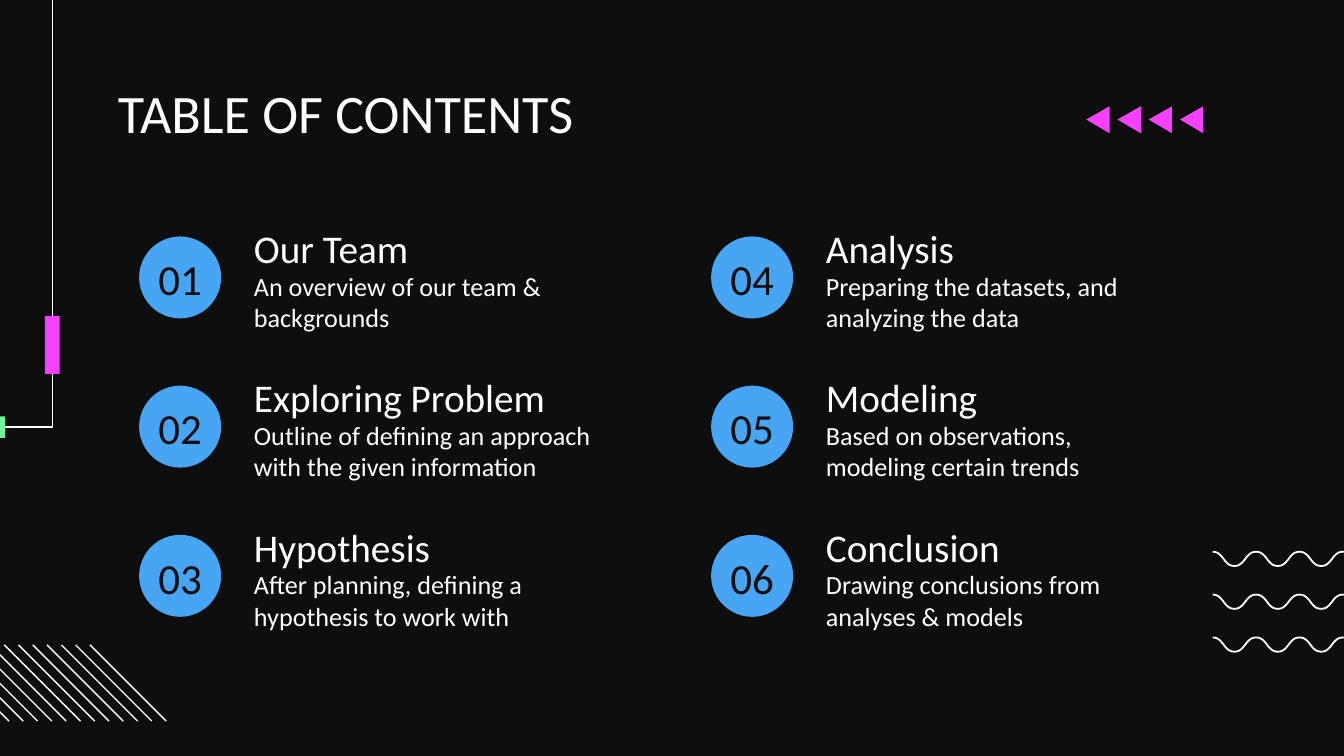
from dataclasses import dataclass

import pptx
import pptx.dml.color
import pptx.enum.shapes
import pptx.enum.text
import pptx.oxml.ns
import pptx.util
from lxml import etree

Cm = pptx.util.Cm
SHAPE = pptx.enum.shapes.MSO_SHAPE
ALIGN = pptx.enum.text.PP_ALIGN
COLORS = {"dark": "0E0E0E", "white": "FFFFFF", "blue": "47A5F3",
          "pink": "F341FF", "green": "72F49A"}


@dataclass
class Style:
    size: float
    color: str = "white"
    align: object = ALIGN.LEFT
    top: float = 0
    line_spacing: float = 1.0
    space_after: float = 0


@dataclass
class Entry:
    heading: str
    body: str
    body_width: float = 6.53


TITLE = Style(29)
NUMBER = Style(23, "dark", ALIGN.CENTER, top=0.51)
HEADING = Style(21, line_spacing=1.15, space_after=12)
BODY = Style(14)

ENTRIES = [
    Entry("Our Team", "An overview of our team & backgrounds"),
    Entry("Exploring Problem",
          "Outline of defining an approach with the given information", 7.65),
    Entry("Hypothesis", "After planning, defining a hypothesis to work with"),
    Entry("Analysis", "Preparing the datasets, and analyzing the data"),
    Entry("Modeling", "Based on observations, modeling certain trends"),
    Entry("Conclusion", "Drawing conclusions from analyses & models"),
]
ROWS, ROW_STEP, COL_STEP = 3, 2.82, 10.81


def rgb(name: str):
    return pptx.dml.color.RGBColor.from_string(COLORS[name])


def write(s, text: str, style: Style) -> None:
    """Put one formatted paragraph into a shape."""
    tf = s.text_frame
    frame = {"word_wrap": True, "auto_size": pptx.enum.text.MSO_AUTO_SIZE.NONE,
             "vertical_anchor": pptx.enum.text.MSO_ANCHOR.TOP,
             "margin_left": Cm(0.25), "margin_right": Cm(0.25),
             "margin_top": Cm(style.top), "margin_bottom": Cm(0.25)}
    for name, value in frame.items():
        setattr(tf, name, value)
    p = tf.paragraphs[0]
    para = {"alignment": style.align, "line_spacing": style.line_spacing,
            "space_after": pptx.util.Pt(style.space_after)}
    for name, value in para.items():
        setattr(p, name, value)
    r = p.add_run()
    r.text = text
    for name, value in {"name": "Calibri", "size": pptx.util.Pt(style.size)}.items():
        setattr(r.font, name, value)
    r.font.color.rgb = rgb(style.color)


def add_text(sp, x: float, y: float, w: float, h: float, text: str, style: Style) -> None:
    write(sp.add_textbox(Cm(x), Cm(y), Cm(w), Cm(h)), text, style)


def paint(s, color: str) -> None:
    s.shadow.inherit = False
    s.fill.solid()
    s.fill.fore_color.rgb = rgb(color)
    s.line.fill.background()


def add_solid(sp, kind, x: float, y: float, w: float, h: float, color: str) -> None:
    paint(sp.add_shape(kind, Cm(x), Cm(y), Cm(w), Cm(h)), color)


def outline(sp, points: list, closed: bool = False):
    pts = [(Cm(x), Cm(y)) for x, y in points]
    builder = sp.build_freeform(*pts[0])
    builder.add_line_segments(pts[1:], close=closed)
    return builder.convert_to_shape()


def add_path(sp, points: list, width: float) -> None:
    """Draw an open, unfilled white outline."""
    s = outline(sp, points)
    s.shadow.inherit = False
    s.fill.background()
    s.line.color.rgb = rgb("white")
    s.line.width = pptx.util.Pt(width)


def add_line(sp, x1: float, y1: float, x2: float, y2: float) -> None:
    c = sp.add_connector(pptx.enum.shapes.MSO_CONNECTOR.STRAIGHT,
                         Cm(x1), Cm(y1), Cm(x2), Cm(y2))
    c.line.color.rgb = rgb("white")
    c.line.width = pptx.util.Pt(0.75)
    etree.SubElement(c._element.spPr, pptx.oxml.ns.qn("a:effectLst"))


def wave_points(x: float, y: float, half: float = 0.41, height: float = 0.27,
                count: int = 7, steps: int = 12) -> list:
    """Sample a chain of S-curves that alternately fall and rise."""
    points = [(x, y)]
    for i in range(count):
        for k in range(1, steps + 1):
            t = k / steps
            across = 1.5 * t * (1 - t) + t ** 3
            drop = 3 * t ** 2 - 2 * t ** 3
            points.append((x + half * (i + across),
                           y + height * (1 - drop if i % 2 else drop)))
    return points


def add_decor(sp) -> None:
    # Waves at the right edge
    for i in range(3):
        add_path(sp, wave_points(22.92, 10.43 + 0.81 * i), 0.95)
    # Diagonal hatching at the bottom left
    for i in range(12):
        x = -1.27 + 0.27 * i
        add_line(sp, x, 12.19, x + 1.44, 13.63)
    # Corner line with its two markers
    add_path(sp, [(-9.98, 8.07), (0.99, 8.07), (0.99, -0.56)], 0.75)
    add_solid(sp, SHAPE.RECTANGLE, -0.31, 7.87, 0.41, 0.41, "green")
    add_solid(sp, SHAPE.RECTANGLE, 0.85, 5.97, 0.28, 1.1, "pink")
    # Arrowheads beside the title
    for i in range(4):
        x, y = 20.53 + 0.59 * i, 2.01
        paint(outline(sp, [(x + 0.44, y), (x, y + 0.25), (x + 0.44, y + 0.51)], True),
              "pink")


def add_entry(sp, index: int, entry: Entry) -> None:
    col, row = divmod(index, ROWS)
    dx, dy = col * COL_STEP, row * ROW_STEP
    add_solid(sp, SHAPE.OVAL, 2.63 + dx, 4.47 + dy, 1.55, 1.55, "blue")
    add_text(sp, 2.26 + dx, 4.27 + dy, 2.29, 1.55, f"{index + 1:02}", NUMBER)
    add_text(sp, 4.55 + dx, 4.11 + dy, 8.03, 0.99, entry.heading, HEADING)
    add_text(sp, 4.55 + dx, 5.11 + dy, entry.body_width, 1.52, entry.body, BODY)


def main() -> None:
    prs = pptx.Presentation()
    prs.slide_width, prs.slide_height = Cm(25.4), Cm(14.29)
    slide = prs.slides.add_slide(prs.slide_layouts[5])
    slide.background.fill.solid()
    slide.background.fill.fore_color.rgb = rgb("dark")
    sp = slide.shapes

    add_decor(sp)

    # Title
    place = {"left": 1.98, "top": 1.5, "width": 21.44, "height": 1.17}
    for name, value in place.items():
        setattr(sp.title, name, Cm(value))
    write(sp.title, "TABLE OF CONTENTS", TITLE)

    # Contents, filled down each column
    for i, entry in enumerate(ENTRIES):
        add_entry(sp, i, entry)

    prs.save("out.pptx")


if __name__ == "__main__":
    main()
